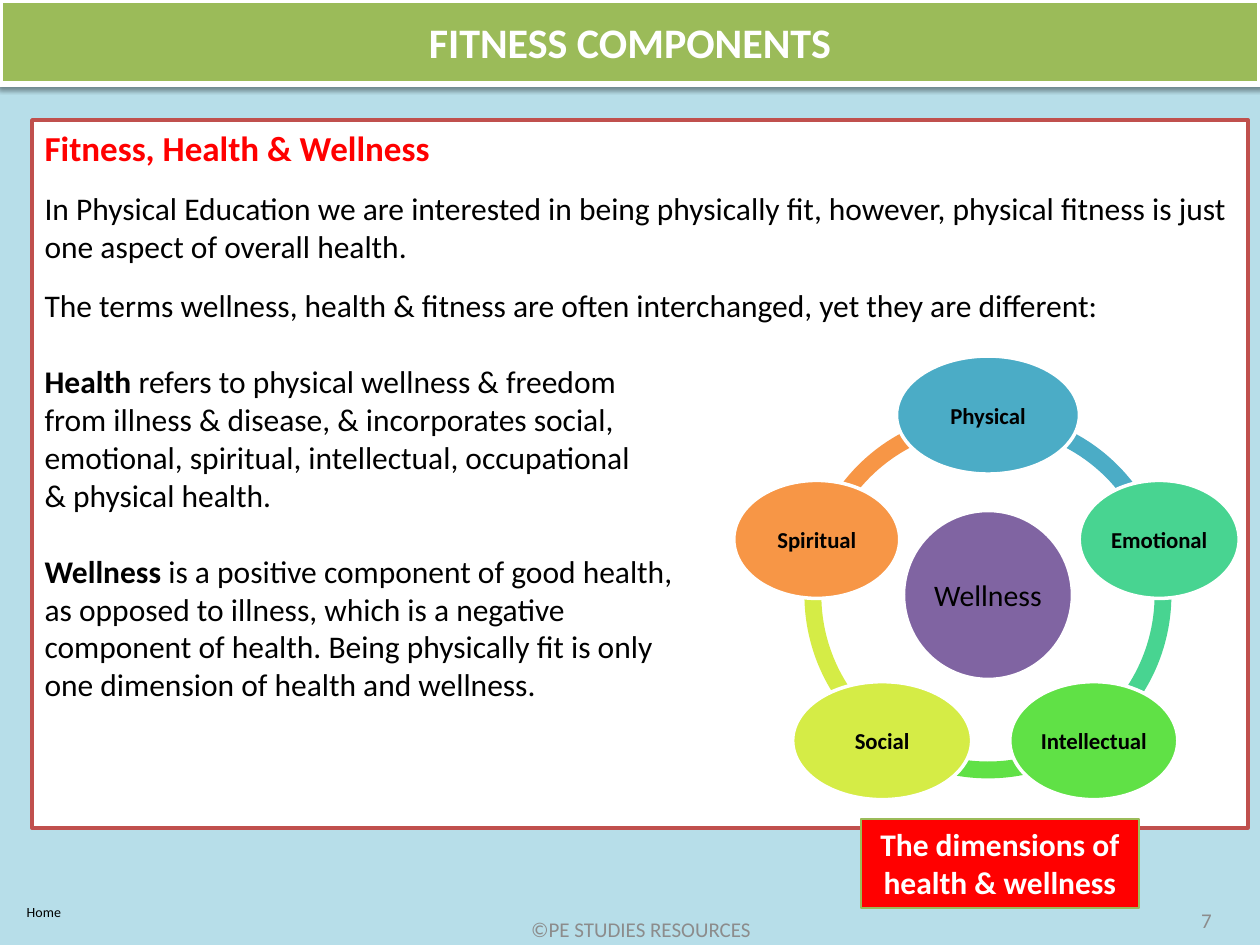
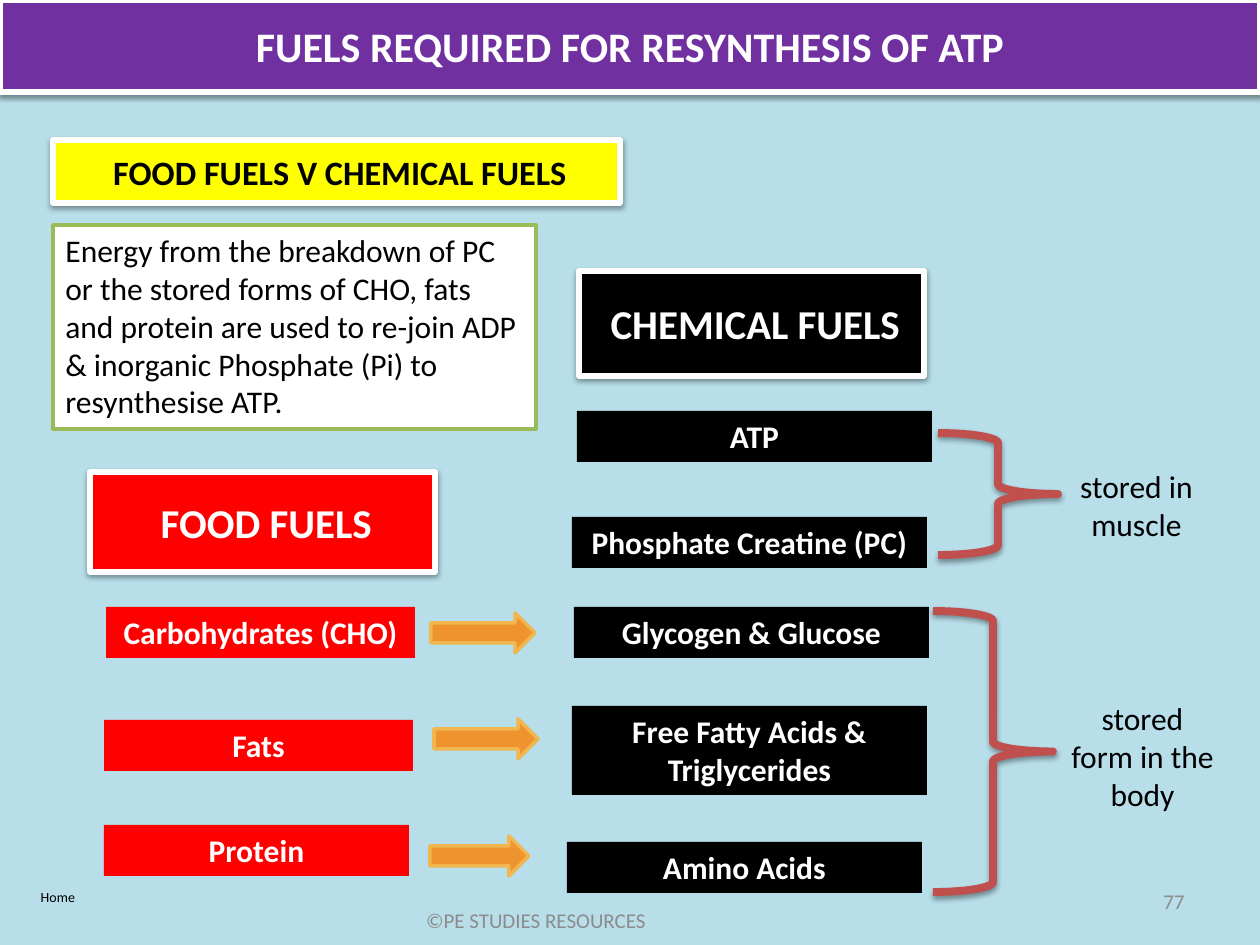
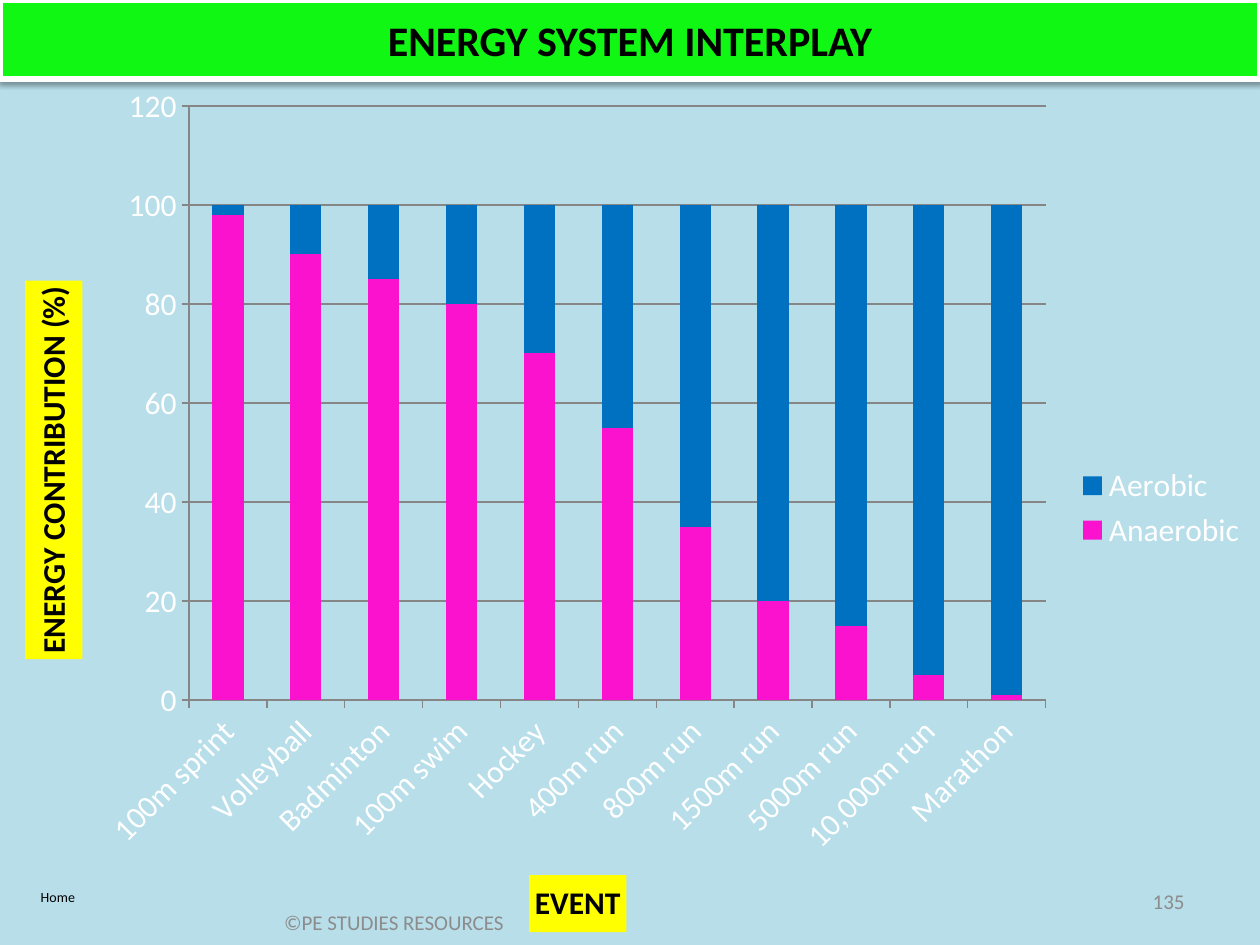
import math
from lxml import etree
from pptx import Presentation, util as u
from pptx.chart.data import CategoryChartData
from pptx.dml.color import RGBColor
from pptx.enum import chart as ch, shapes, text
from pptx.oxml import parse_xml
from pptx.oxml.ns import nsdecls, qn

# Shared style
FONT = "Calibri"
BLACK = RGBColor(0x00, 0x00, 0x00)
WHITE = RGBColor(0xFF, 0xFF, 0xFF)
SKY = RGBColor(0xB7, 0xDE, 0xE9)
GREY = RGBColor(0x8C, 0x8C, 0x8C)
GRID = RGBColor(0x86, 0x86, 0x86)
RED = RGBColor(0xFF, 0x00, 0x00)
BRICK = RGBColor(0xC0, 0x50, 0x4D)
YELLOW = RGBColor(0xFF, 0xFF, 0x00)
OLIVE = RGBColor(0x9B, 0xBB, 0x59)
PURPLE = RGBColor(0x70, 0x30, 0xA0)
LIME = RGBColor(0x10, 0xF7, 0x14)
VIOLET = RGBColor(0x80, 0x64, 0xA2)
TEAL = RGBColor(0x4B, 0xAC, 0xC6)
MINT = RGBColor(0x48, 0xD4, 0x91)
GREEN = RGBColor(0x60, 0xE1, 0x46)
CITRUS = RGBColor(0xD5, 0xEC, 0x46)
ORANGE = RGBColor(0xF7, 0x96, 0x46)
ARROW = RGBColor(0xEE, 0x93, 0x2E)
ARROW_EDGE = RGBColor(0xF1, 0xB6, 0x4D)
PINK = RGBColor(0xFA, 0x12, 0xCE)
BLUE = RGBColor(0x00, 0x70, 0xC0)

SHAPE = shapes.MSO_SHAPE
CENTER, LEFT, RIGHT = text.PP_ALIGN.CENTER, text.PP_ALIGN.LEFT, text.PP_ALIGN.RIGHT
TOP, MIDDLE = text.MSO_ANCHOR.TOP, text.MSO_ANCHOR.MIDDLE
TITLE_AND_BODY, TITLE_ONLY = 1, 5
PAGE_W, PAGE_H = 1260, 945


def px(length):
    return u.Emu(round(length * 914400 / 126))


def place(shape, at):
    shape.left, shape.top, shape.width, shape.height = map(px, at)


def style_font(font, size, color, bold=False):
    font.name, font.size, font.bold = FONT, u.Pt(size), bold
    font.color.rgb = color


def write(shape, words, size, color, bold=False, align=CENTER, anchor=TOP):
    frame = shape.text_frame
    frame.word_wrap = True
    frame.vertical_anchor = anchor
    frame.text = words
    para = frame.paragraphs[0]
    para.alignment = align
    style_font(para.runs[0].font, size, color, bold)


def paint(shape, fill=None, line=None, width=1, shadow=False):
    if fill is None:
        shape.fill.background()
    else:
        shape.fill.solid()
        shape.fill.fore_color.rgb = fill
    if line is None:
        shape.line.fill.background()
    else:
        shape.line.color.rgb = line
        shape.line.width = u.Pt(width)
    shape.shadow.inherit = False
    if shadow:
        effects = shape._element.spPr.find(qn("a:effectLst"))
        effects.append(parse_xml(
            f'<a:outerShdw {nsdecls("a")} blurRad="40000" dist="20000" dir="5400000" rotWithShape="0">'
            '<a:srgbClr val="000000"><a:alpha val="38000"/></a:srgbClr></a:outerShdw>'))


def add_figure(page, kind, at, fill=None, line=None, width=1, shadow=False):
    shape = page.shapes.add_shape(kind, *map(px, at))
    paint(shape, fill, line, width, shadow)
    return shape


def add_label(page, at, words, fill, line=None):
    box = add_figure(page, SHAPE.RECTANGLE, at, fill, line, 0.75)
    write(box, words, 18, WHITE, True)


def add_banner(page, at, words, size, fill, color):
    box = add_figure(page, SHAPE.RECTANGLE, at, fill, WHITE, 3, True)
    write(box, words, size, color, True, anchor=MIDDLE)
    box.text_frame.margin_left = px(20)


def add_note(page, at, words, size=18, color=BLACK, align=CENTER, anchor=TOP):
    box = page.shapes.add_textbox(*map(px, at))
    write(box, words, size, color, align=align, anchor=anchor)


def add_page(deck, layout, title, height, fill, color, number, number_at, footer_at, home_at):
    """Start a slide with its title band and its footer texts."""
    page = deck.slides.add_slide(deck.slide_layouts[layout])
    band = page.shapes.title
    place(band, (0, 0, PAGE_W, height))
    paint(band, fill, WHITE, 3, True)
    write(band, title, 24, color, True, anchor=MIDDLE)
    add_note(page, (*footer_at, 400, 50), "©PE STUDIES RESOURCES", 12, GREY, anchor=MIDDLE)
    add_note(page, (*number_at, 294, 50), number, 12, GREY, RIGHT, MIDDLE)
    add_note(page, (*home_at, 88, 30), "Home", 8)
    return page


# Slide 1: text panel and wellness ring
PANEL = [  # gap before in points, bold term, rest of the line
    (12, "", "In Physical Education we are interested in being physically fit, however, "
             "physical fitness is just one aspect of overall health."),
    (12, "", "The terms wellness, health & fitness are often interchanged, yet they are different:"),
    (22, "Health", " refers to physical wellness & freedom"),
    (0, "", "from illness & disease, & incorporates social,"),
    (0, "", "emotional, spiritual, intellectual, occupational"),
    (0, "", "& physical health."),
    (22, "Wellness", " is a positive component of good health,"),
    (0, "", "as opposed to illness, which is a negative"),
    (0, "", "component of health. Being physically fit is only"),
    (0, "", "one dimension of health and wellness."),
]
DIMENSIONS = [  # clockwise from the top: name, width, colour
    ("Physical", 183, TEAL), ("Emotional", 160, MINT), ("Intellectual", 168, GREEN),
    ("Social", 179, CITRUS), ("Spiritual", 166, ORANGE),
]


def fill_panel(panel):
    place(panel, (32, 120, 1216, 708))
    paint(panel, WHITE, BRICK, 2)
    write(panel, "Fitness, Health & Wellness", 20, RED, True, LEFT)
    frame = panel.text_frame
    frame.auto_size = text.MSO_AUTO_SIZE.NONE
    for gap, term, rest in PANEL:
        para = frame.add_paragraph()
        para.space_before = u.Pt(gap)
        for words, bold in ((term, True), (rest, False)):
            if words:
                span = para.add_run()
                span.text = words
                style_font(span.font, 18, BLACK, bold)
    frame.paragraphs[0].space_before = u.Pt(0)
    for para in frame.paragraphs:
        para.alignment = LEFT
        props = para._p.get_or_add_pPr()
        props.set("marL", "0")
        props.set("indent", "0")
        etree.SubElement(props, qn("a:buNone"))


def add_bubble(page, center_x, center_y, width, height, words, size, fill, bold):
    at = (center_x - width / 2, center_y - height / 2, width, height)
    bubble = add_figure(page, SHAPE.OVAL, at, fill, WHITE, 2)
    write(bubble, words, size, BLACK, bold, anchor=MIDDLE)
    frame = bubble.text_frame
    frame.margin_left = frame.margin_right = frame.margin_top = frame.margin_bottom = px(2)


def add_wellness_ring(page):
    center_x, center_y, radius, outer = 988, 595, 180, 367
    step = 360 / len(DIMENSIONS)
    for i, (_, _, color) in enumerate(DIMENSIONS):
        start = (270 + i * step) % 360
        at = (center_x - outer / 2, center_y - outer / 2, outer, outer)
        arc = add_figure(page, SHAPE.BLOCK_ARC, at, color)
        # Angles are stored in 60000ths of a degree, adjustments in 100000ths
        arc.adjustments[0] = start * 0.6
        arc.adjustments[1] = (start + step) % 360 * 0.6
        arc.adjustments[2] = 0.046
    add_bubble(page, center_x, center_y, 169, 169, "Wellness", 17, VIOLET, False)
    for i, (name, width, color) in enumerate(DIMENSIONS):
        angle = math.radians(i * step - 90)
        add_bubble(page, center_x + radius * math.cos(angle), center_y + radius * math.sin(angle),
                   width, 118, name, 13, color, True)


def build_components(deck):
    page = add_page(deck, TITLE_AND_BODY, "FITNESS COMPONENTS", 84, OLIVE, WHITE,
                    "7", (930, 895), (441, 904), (0, 897))
    fill_panel(page.placeholders[1])
    add_wellness_ring(page)
    add_label(page, (861, 819, 278, 89), "The dimensions of health & wellness", RED, OLIVE)


# Slide 2: food fuels and chemical fuels
FOOD = [((106, 607, 309, 51), "Carbohydrates (CHO)"), ((104, 720, 309, 51), "Fats"),
        ((104, 825, 305, 51), "Protein")]
CHEMICAL = [((577, 411, 355, 51), "ATP"), ((572, 517, 355, 51), "Phosphate Creatine (PC)"),
            ((574, 607, 355, 51), "Glycogen & Glucose"),
            ((572, 706, 355, 89), "Free Fatty Acids & Triglycerides"),
            ((567, 842, 355, 51), "Amino Acids")]
ARROWS = [(431, 613, 104, 40), (434, 719, 104, 40), (430, 836, 99, 40)]
BRACES = [(938, 433, 120, 122), (933, 611, 120, 281)]


def build_fuels(deck):
    page = add_page(deck, TITLE_ONLY, "FUELS REQUIRED FOR RESYNTHESIS OF ATP", 92, PURPLE, WHITE,
                    "77", (903, 876), (336, 895), (14, 882))
    add_banner(page, (53, 140, 567, 63), "FOOD FUELS V CHEMICAL FUELS", 19.5, YELLOW, BLACK)
    add_banner(page, (90, 472, 345, 100), "FOOD FUELS", 23.4, RED, WHITE)
    add_banner(page, (579, 271, 345, 105), "CHEMICAL FUELS", 23.4, BLACK, WHITE)
    summary = add_figure(page, SHAPE.RECTANGLE, (53, 225, 483, 204), WHITE, OLIVE, 2)
    write(summary, "Energy from the breakdown of PC or the stored forms of CHO, fats and protein "
          "are used to re-join ADP & inorganic Phosphate (Pi) to resynthesise ATP.",
          18, BLACK, align=LEFT)
    for labels, color in ((FOOD, RED), (CHEMICAL, BLACK)):
        for at, words in labels:
            add_label(page, at, words, color)
    for at in ARROWS:
        add_figure(page, SHAPE.RIGHT_ARROW, at, ARROW, ARROW_EDGE, 2)
    for at in BRACES:
        add_figure(page, SHAPE.RIGHT_BRACE, at, None, BRICK, 4.5, True)
    add_note(page, (1061, 461, 151, 89), "stored in muscle")
    add_note(page, (1057, 693, 171, 127), "stored form in the body")


# Slide 3: stacked chart of energy contribution
EVENTS = ["100m sprint", "Volleyball", "Badminton", "100m swim", "Hockey", "400m run",
          "800m run", "1500m run", "5000m run", "10,000m run", "Marathon"]
ANAEROBIC = [98, 90, 85, 80, 70, 55, 35, 20, 15, 5, 1]
AEROBIC = [100 - share for share in ANAEROBIC]


def set_layout(parent, index, **fractions):
    """Fix the place of a chart part as fractions of the chart."""
    for old in parent.findall(qn("c:layout")):
        parent.remove(old)
    modes = "".join(f'<c:{side}Mode val="edge"/>' for side in "xy")
    sizes = "".join(f'<c:{side} val="{value}"/>' for side, value in fractions.items())
    target = '<c:layoutTarget val="inner"/>' if "w" in fractions else ""
    parent.insert(index, parse_xml(
        f'<c:layout {nsdecls("c")}><c:manualLayout>{target}{modes}{sizes}</c:manualLayout></c:layout>'))


def no_fill():
    return parse_xml(f'<c:spPr {nsdecls("c", "a")}><a:noFill/><a:ln><a:noFill/></a:ln></c:spPr>')


def style_axis(axis, title, x, y, turn):
    style_font(axis.tick_labels.font, 18, WHITE)
    axis.major_tick_mark = ch.XL_TICK_MARK.OUTSIDE
    axis.format.line.color.rgb = GRID
    heading = axis.axis_title
    frame = heading.text_frame
    frame.text = title
    style_font(frame.paragraphs[0].runs[0].font, 18, BLACK, True)
    frame._txBody.bodyPr.set("rot", str(turn * 60000))
    frame._txBody.bodyPr.set("vert", "horz")
    heading.format.fill.solid()
    heading.format.fill.fore_color.rgb = YELLOW
    set_layout(heading._element, 1, x=x, y=y)


def add_energy_chart(page):
    data = CategoryChartData()
    data.categories = EVENTS
    data.add_series("Anaerobic", ANAEROBIC)
    data.add_series("Aerobic", AEROBIC)
    chart = page.shapes.add_chart(ch.XL_CHART_TYPE.COLUMN_STACKED,
                                  *map(px, (0, 71, PAGE_W, 874)), data).chart
    style_font(chart.font, 18, BLACK)
    chart.has_title = False
    chart.has_legend = True
    chart.legend.position = ch.XL_LEGEND_POSITION.RIGHT
    chart.legend.include_in_layout = False
    style_font(chart.legend.font, 18, WHITE)

    plot = chart.plots[0]
    plot.gap_width, plot.overlap, plot.vary_by_categories = 150, 100, False
    for series, color in zip(plot.series, (PINK, BLUE)):
        series.format.fill.solid()
        series.format.fill.fore_color.rgb = color

    style_axis(chart.category_axis, "EVENT", 0.42, 0.92, 0)
    chart.category_axis._element.txPr.bodyPr.set("rot", str(-45 * 60000))
    values = chart.value_axis
    style_axis(values, "ENERGY CONTRIBUTION (%)", 0.02, 0.24, -90)
    values.minimum_scale, values.maximum_scale, values.major_unit = 0, 120, 20
    values.has_major_gridlines = True
    values.major_gridlines.format.line.color.rgb = GRID

    area = chart._chartSpace.chart
    set_layout(area.plotArea, 0, x=0.15, y=0.04, w=0.68, h=0.68)
    area.plotArea.append(no_fill())
    area.addnext(no_fill())


def build_interplay(deck):
    page = add_page(deck, TITLE_ONLY, "ENERGY SYSTEM INTERPLAY", 79, LIME, BLACK,
                    "135", (903, 876), (194, 897), (14, 882))
    add_energy_chart(page)


def main():
    deck = Presentation()
    deck.slide_width, deck.slide_height = px(PAGE_W), px(PAGE_H)
    backdrop = deck.slide_master.background.fill
    backdrop.solid()
    backdrop.fore_color.rgb = SKY
    build_components(deck)
    build_fuels(deck)
    build_interplay(deck)
    deck.save("out.pptx")


if __name__ == "__main__":
    main()
